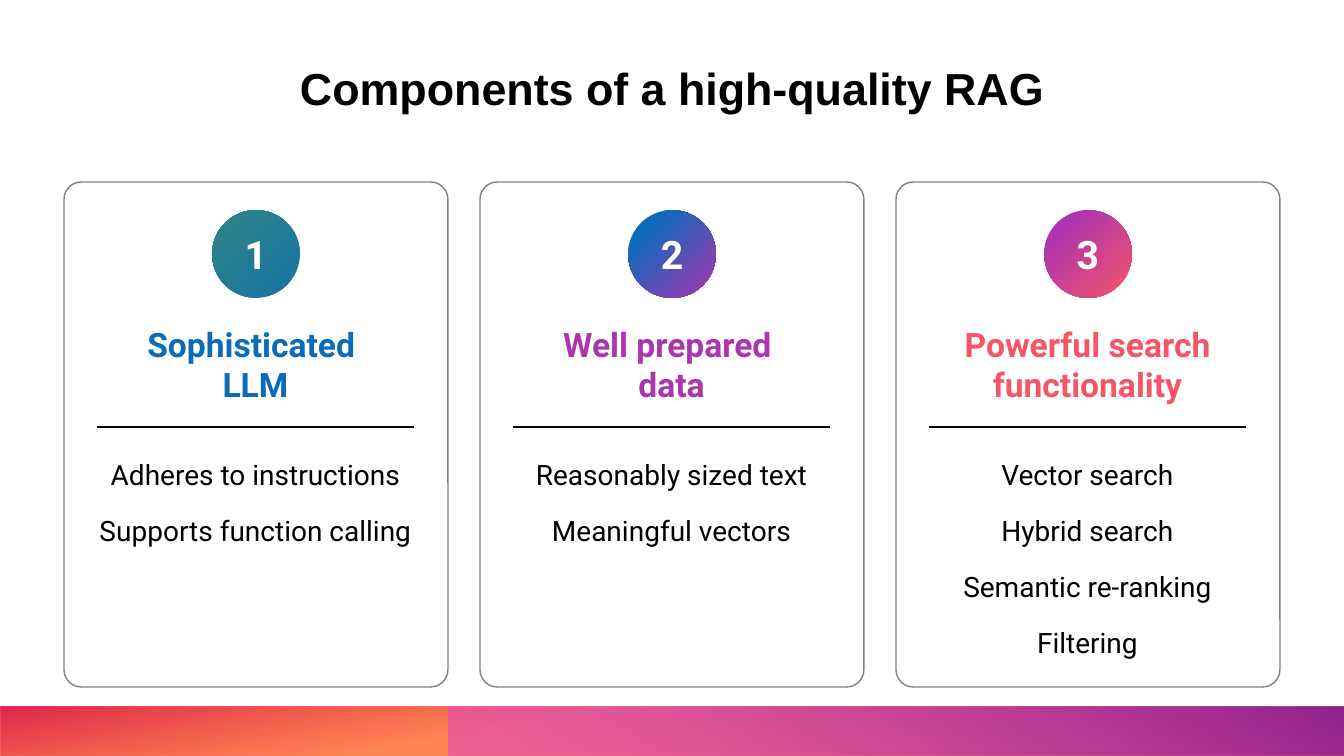
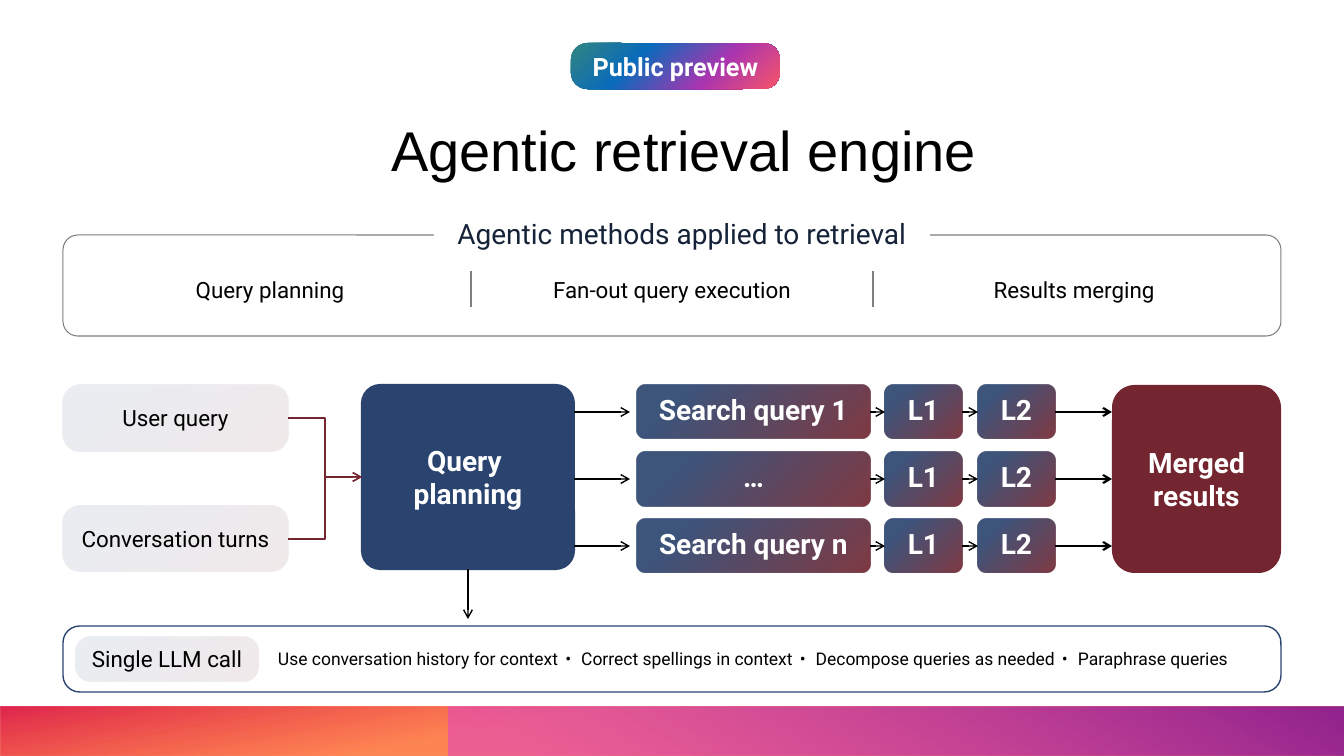
"""Build two slides on retrieval-augmented generation and an agentic retrieval engine."""
from lxml import etree
from pptx import Presentation
from pptx.dml.color import RGBColor
from pptx.enum.shapes import MSO_CONNECTOR, MSO_SHAPE
from pptx.enum.text import MSO_ANCHOR, MSO_AUTO_SIZE, PP_ALIGN
from pptx.oxml.ns import qn
from pptx.util import Emu, Pt

RECT, ROUND, OVAL = MSO_SHAPE.RECTANGLE, MSO_SHAPE.ROUNDED_RECTANGLE, MSO_SHAPE.OVAL
STRAIGHT, ELBOW = MSO_CONNECTOR.STRAIGHT, MSO_CONNECTOR.ELBOW
TOP, MIDDLE, BOTTOM = MSO_ANCHOR.TOP, MSO_ANCHOR.MIDDLE, MSO_ANCHOR.BOTTOM
LEFT, CENTER = PP_ALIGN.LEFT, PP_ALIGN.CENTER
NO_FIT = MSO_AUTO_SIZE.NONE
SIDE_LEFT, SIDE_BOTTOM, SIDE_RIGHT = 1, 2, 3
EMU_PER_PX = 914400 / 100.8
SLIDE_W, SLIDE_H = 1344, 756


class Theme:
    black, white, grey, ink = "000000", "FFFFFF", "7F7F7F", "152237"
    navy, wine = "2A446F", "73262F"
    blue, purple, coral, teal = "0A6BBA", "AC35AF", "F65567", "318581"
    from_corner = {"l": 100000, "t": 100000}
    to_corner = {"r": 100000, "b": 100000}
    pale = ([(0, wine, 10), (80, navy, 10)], from_corner)
    deep = ([(0, wine, 90), (80, navy, 90)], from_corner)
    rainbow = ([(0, coral, 100), (32, purple, 100), (68, blue, 100), (100, teal, 100)], from_corner)
    fonts = {
        "title": {"name": "Arial", "size": 32, "bold": True, "color": black},
        "big_title": {"name": "Arial", "size": 40, "bold": False, "color": black},
        "number": {"name": "Roboto", "size": 28, "bold": True, "color": white},
        "heading": {"name": "Roboto", "size": 24, "bold": True},
        "list": {"name": "Roboto", "size": 20, "bold": False, "color": black},
        "banner": {"name": "Roboto", "size": 20, "bold": False, "color": ink},
        "node": {"name": "Roboto", "size": 20, "bold": True, "color": white},
        "badge": {"name": "Roboto", "size": 18, "bold": True, "color": white},
        "label": {"name": "Roboto", "size": 16, "bold": False, "color": black},
        "note": {"name": "Roboto", "size": 12.5, "bold": False, "color": black},
    }


BANDS = [
    ((0, 707, SLIDE_W, 49), 180, ([(62, "FE4A00", 67), (100, "DA002F", 85)], 100)),
    ((449, 707, SLIDE_W - 449, 49), 0, ([(9, "E349BB", 62), (99, "92248E", 100)], 240)),
]
COMPONENTS_TITLE = "Components of a high-quality RAG"
COMPONENTS = [
    {"heading": ("Sophisticated ", "\n", "LLM"), "color": Theme.blue,
     "disc": ([(0, "2F8484", 100), (80, "1C77A0", 100)], Theme.to_corner),
     "points": ["Adheres to instructions", "Supports function calling"]},
    {"heading": ("Well prepared ", "\n", "data"), "color": Theme.purple,
     "disc": ([(0, Theme.purple, 100), (80, Theme.blue, 100)], Theme.from_corner),
     "points": ["Reasonably sized text", "Meaningful vectors"]},
    {"heading": "Powerful search functionality", "color": Theme.coral,
     "disc": ([(0, Theme.coral, 100), (80, Theme.purple, 100)], Theme.from_corner),
     "points": ["Vector search", "Hybrid search", "Semantic re-ranking", "Filtering"]},
]
ENGINE_TITLE = "Agentic retrieval engine"
BADGE = "Public preview"
METHODS_HEADING = "Agentic methods applied to retrieval"
METHODS = ["Query planning", "Fan-out query execution", "Results merging"]
INPUTS = [("User query", 385), ("Conversation turns", 506)]
PLANNING = ("Query ", "\n", "planning")
SEARCHES = ["Search query 1", "…", "Search query n"]
RANKERS = ["L1", "L2"]
MERGED = "Merged results"
LLM_CALL = "Single LLM call"
DOT = " • "
LLM_TASKS = ["Use conversation history for context", "Correct spellings in context",
             "Decompose queries as needed", "Paraphrase queries"]


def px(value):
    return Emu(round(value * EMU_PER_PX))


def rgb(color):
    return RGBColor.from_string(color)


def paint(shape, fill):
    if fill is None:
        shape.fill.background()
    elif isinstance(fill, str):
        shape.fill.solid()
        shape.fill.fore_color.rgb = rgb(fill)
    else:
        stops, direction = fill
        shape.fill.gradient()
        gradient = shape.element.xpath("./p:spPr/a:gradFill")[0]
        del gradient[:]
        stop_list = etree.SubElement(gradient, qn("a:gsLst"))
        for position, color, opacity in stops:
            stop = etree.SubElement(stop_list, qn("a:gs"), pos=str(position * 1000))
            tone = etree.SubElement(stop, qn("a:srgbClr"), val=color)
            etree.SubElement(tone, qn("a:alpha"), val=str(opacity * 1000))
        if isinstance(direction, int):
            etree.SubElement(gradient, qn("a:lin"), ang=str(direction * 60000), scaled="0")
        else:
            route = etree.SubElement(gradient, qn("a:path"), path="circle")
            corner = {edge: str(share) for edge, share in direction.items()}
            etree.SubElement(route, qn("a:fillToRect"), corner)


def add_box(slide, box, kind=ROUND, fill=None, line=None, weight=1, corner=None):
    shape = slide.shapes.add_shape(kind, *map(px, box))
    shape.shadow.inherit = False
    paint(shape, fill)
    if line:
        shape.line.color.rgb = rgb(line)
        shape.line.width = Pt(weight)
    else:
        shape.line.fill.background()
    if corner is not None:
        shape.adjustments[0] = corner
    return shape


def write(shape, lines, style, color=None, align=CENTER, anchor=MIDDLE,
          insets=(0, 0, 0, 0), wrap=True, **spacing):
    frame = shape.text_frame
    left, top, right, bottom = map(px, insets)
    settings = {"word_wrap": wrap, "auto_size": NO_FIT, "vertical_anchor": anchor,
                "margin_left": left, "margin_top": top,
                "margin_right": right, "margin_bottom": bottom}
    for name, value in settings.items():
        setattr(frame, name, value)
    font_values = {"color": color, **Theme.fonts[style]}
    for index, line in enumerate(lines):
        paragraph = frame.add_paragraph() if index else frame.paragraphs[0]
        for name, value in {"alignment": align, **spacing}.items():
            setattr(paragraph, name, value)
        for piece in (line,) if isinstance(line, str) else line:
            if piece == "\n":
                paragraph.add_line_break()
                continue
            run = paragraph.add_run()
            run.text = piece
            for name, value in font_values.items():
                if name == "color":
                    run.font.color.rgb = rgb(value)
                else:
                    setattr(run.font, name, Pt(value) if name == "size" else value)
    return shape


def add_text(slide, box, lines, style, **options):
    return write(slide.shapes.add_textbox(*map(px, box)), lines, style, **options)


def place(shape, box):
    for name, value in zip(("left", "top", "width", "height"), box):
        setattr(shape, name, px(value))
    return shape


def add_line(slide, start, end, kind=STRAIGHT, color=Theme.black, weight=1, arrow=False):
    """Join two ends, each a point or a (shape, side) pair."""
    points = [px(v) for spot in (start, end)
              for v in (spot if isinstance(spot[0], int) else (0, 0))]
    line = slide.shapes.add_connector(kind, *points)
    for spot, connect in ((start, line.begin_connect), (end, line.end_connect)):
        if not isinstance(spot[0], int):
            connect(*spot)
    line.line.color.rgb = rgb(color)
    line.line.width = Pt(weight)
    properties = line.element.xpath("./p:spPr")[0]
    if arrow:
        etree.SubElement(properties.find(qn("a:ln")), qn("a:tailEnd"), type="arrow")
    etree.SubElement(properties, qn("a:effectLst"))


def add_master_bands(slide, master):
    for index, (box, turn, fill) in enumerate(BANDS):
        band = add_box(slide, box, RECT, fill)
        band.rotation = turn
        band.element.xpath("./p:spPr/a:xfrm")[0].set("flipH", "1")
        band.element.xpath(".//p:cNvPr")[0].set("id", str(100 + index))
        master.shapes.element.insert(2 + index, band.element)


def build_components(slide):
    title = place(slide.shapes.title, (65, 58, 1215, 62))
    write(title, [COMPONENTS_TITLE], "title", anchor=BOTTOM, insets=(10, 5, 10, 5),
          line_spacing=0.9)
    _, *lists, spare = slide.placeholders
    spare.element.getparent().remove(spare.element)
    for index, (part, points) in enumerate(zip(COMPONENTS, lists)):
        x = 64 + 416 * index
        add_box(slide, (x, 182, 384, 505), line=Theme.grey, corner=0.045)
        disc = add_box(slide, (x + 148, 210, 88, 88), OVAL, part["disc"])
        write(disc, [str(index + 1)], "number")
        add_text(slide, (x + 33, 324, 317, 82), [part["heading"]], "heading",
                 color=part["color"], anchor=TOP, space_before=Pt(2))
        add_line(slide, (x + 33, 427), (x + 350, 427))
        place(points, (x + 33, 457, 317, 204))
        write(points, part["points"], "list", anchor=TOP,
              space_before=Pt(0), space_after=Pt(16))
        for properties in points.element.xpath(".//a:pPr"):
            properties.set("marL", "0")
            properties.set("indent", "0")
            etree.SubElement(properties, qn("a:buNone"))


def build_methods(slide):
    add_box(slide, (63, 235, 1218, 101), line=Theme.grey, weight=0.75, corner=0.146)
    heading = add_box(slide, (434, 216, 496, 34), RECT, Theme.white)
    write(heading, [METHODS_HEADING], "banner")
    for index, method in enumerate(METHODS):
        shift = 402 * index
        add_text(slide, (131 + shift, 276, 278, 27), [method], "label")
        if index:
            add_line(slide, (69 + shift, 271), (69 + shift, 307), color=Theme.grey)


def build_flow(slide):
    planning = add_box(slide, (362, 385, 212, 184), fill=Theme.navy, line=Theme.navy,
                       weight=1.5, corner=0.099)
    write(planning, [PLANNING], "node")
    merged = add_box(slide, (1112, 385, 169, 188), fill=Theme.wine, corner=0.134)
    write(merged, [MERGED], "node")
    for label, y in INPUTS:
        source = add_box(slide, (63, y, 225, 66), fill=Theme.pale, corner=0.27)
        write(source, [label], "label")
        add_line(slide, (source, SIDE_RIGHT), (planning, SIDE_LEFT), ELBOW,
                 Theme.wine, arrow=True)
    for row, search in enumerate(SEARCHES):
        y = 385 + 67 * row
        center = y + 27
        add_line(slide, (574, center), (630, center), arrow=True)
        cells = [(search, 637, 233)]
        cells += [(ranker, 885 + 93 * step, 77) for step, ranker in enumerate(RANKERS)]
        previous = None
        for label, x, width in cells:
            cell = add_box(slide, (x, y, width, 54), fill=Theme.deep)
            write(cell, [label], "node", insets=(0, 0, 0, 5), space_before=Pt(2))
            if previous:
                add_line(slide, (previous, SIDE_RIGHT), (cell, SIDE_LEFT), arrow=True)
            previous = cell
        target = (merged, SIDE_LEFT) if row == 1 else (1112, center)
        add_line(slide, (previous, SIDE_RIGHT), target, weight=1.5, arrow=True)
    add_line(slide, (planning, SIDE_BOTTOM), (468, 619), arrow=True)


def build_llm_call(slide):
    add_box(slide, (63, 626, 1218, 66), line=Theme.navy, corner=0.252)
    chip = add_box(slide, (76, 637, 182, 44), fill=Theme.pale, corner=0.347)
    write(chip, [LLM_CALL], "label")
    pieces = [LLM_TASKS[0]]
    for task in LLM_TASKS[1:]:
        pieces += [DOT, task]
    tasks = add_text(slide, (278, 648, 987, 21), [pieces], "note", align=LEFT)
    for properties in tasks.element.xpath(f".//a:r[a:t='{DOT}']/a:rPr"):
        properties.set("spc", "200")


def build_engine(slide):
    title = place(slide.shapes.title, (76, 116, 1215, 67))
    write(title, [ENGINE_TITLE], "big_title", anchor=TOP)
    badge = add_box(slide, (571, 43, 209, 46), fill=Theme.rainbow, corner=0.356)
    write(badge, [BADGE], "badge", insets=(16, 3, 16, 3), wrap=False)
    build_methods(slide)
    build_flow(slide)
    build_llm_call(slide)


def main():
    deck = Presentation()
    deck.slide_width, deck.slide_height = px(SLIDE_W), px(SLIDE_H)
    comparison, title_only = deck.slide_layouts[4], deck.slide_layouts[5]
    components = deck.slides.add_slide(comparison)
    add_master_bands(components, deck.slide_master)
    build_components(components)
    build_engine(deck.slides.add_slide(title_only))
    deck.save("out.pptx")


if __name__ == "__main__":
    main()
